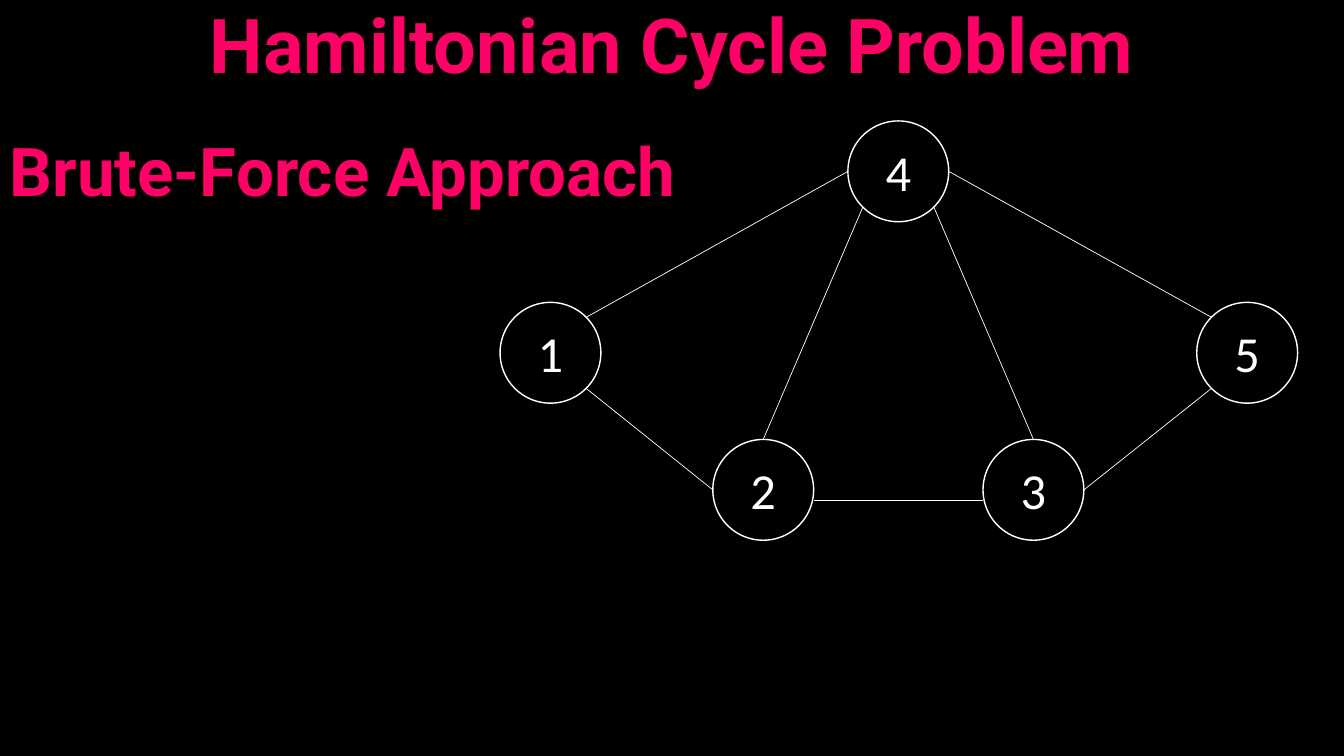
from pptx import Presentation
from pptx.dml.color import RGBColor
from pptx.enum.shapes import MSO_CONNECTOR as CONNECTOR, MSO_SHAPE as SHAPE
from pptx.enum.text import MSO_ANCHOR as ANCHOR, PP_ALIGN as ALIGN
from pptx.oxml.ns import qn
from pptx.util import Inches, Pt
from lxml import etree

BLACK = RGBColor(0x00, 0x00, 0x00)
WHITE = RGBColor(0xFF, 0xFF, 0xFF)
PINK = RGBColor(0xFF, 0x00, 0x66)

SLIDE_WIDTH = 13.33
HEADING_HEIGHT = 0.94
NODE_SIZE = 1

# Left and top of each graph node
NODES = {
    "1": (4.96, 3),
    "2": (7.07, 4.36),
    "4": (8.41, 1.2),
    "3": (9.75, 4.36),
    "5": (11.87, 3),
}

# Points on a node's outline, as fractions of its size
NEAR, FAR = 0.15, 0.85
SITES = {
    "top": (0.5, 0),
    "left": (0, 0.5),
    "right": (1, 0.5),
    "top left": (NEAR, NEAR),
    "top right": (FAR, NEAR),
    "bottom left": (NEAR, FAR),
    "bottom right": (FAR, FAR),
    "low left": (0, 0.6),
    "low right": (1, 0.6),
}

EDGES = [
    ("1", "top right", "4", "left"),
    ("4", "right", "5", "top left"),
    ("2", "left", "1", "bottom right"),
    ("3", "right", "5", "bottom left"),
    ("2", "low right", "3", "low left"),
    ("2", "top", "4", "bottom left"),
    ("3", "top", "4", "bottom right"),
]


def write_text(shape, text, font, size, color, align, anchor, bold=False):
    frame = shape.text_frame
    frame.word_wrap = True
    frame.vertical_anchor = anchor
    paragraph = frame.paragraphs[0]
    paragraph.alignment = align
    run = paragraph.add_run()
    run.text = text
    run.font.name = font
    run.font.size = Pt(size)
    run.font.bold = bold
    run.font.color.rgb = color
    return paragraph


def format_heading(shape, text, top, size, align):
    shape.left, shape.top = Inches(0), Inches(top)
    shape.width, shape.height = Inches(SLIDE_WIDTH), Inches(HEADING_HEIGHT)
    paragraph = write_text(shape, text, "Roboto", size, PINK, align,
                           ANCHOR.BOTTOM, bold=True)
    paragraph.line_spacing = 0.9


def add_node(slide, label):
    left, top = NODES[label]
    node = slide.shapes.add_shape(SHAPE.OVAL, Inches(left), Inches(top),
                                  Inches(NODE_SIZE), Inches(NODE_SIZE))
    node.shadow.inherit = False
    node.fill.background()
    node.line.color.rgb = WHITE
    node.line.width = Pt(1)
    write_text(node, label, "Calibri", 36, WHITE, ALIGN.CENTER, ANCHOR.MIDDLE)


def site_position(label, site):
    return [Inches(start + fraction * NODE_SIZE)
            for start, fraction in zip(NODES[label], SITES[site])]


def add_edge(slide, start, start_site, end, end_site):
    edge = slide.shapes.add_connector(CONNECTOR.STRAIGHT,
                                      *site_position(start, start_site),
                                      *site_position(end, end_site))
    edge.line.color.rgb = WHITE
    edge.line.width = Pt(0.5)
    etree.SubElement(edge._element.spPr, qn("a:effectLst"))


def main():
    presentation = Presentation()
    presentation.slide_width = Inches(SLIDE_WIDTH)
    presentation.slide_height = Inches(7.5)
    slide = presentation.slides.add_slide(presentation.slide_layouts[5])
    slide.background.fill.solid()
    slide.background.fill.fore_color.rgb = BLACK

    # Headings
    format_heading(slide.shapes.title, "Hamiltonian Cycle Problem", 0, 54,
                   ALIGN.CENTER)
    subtitle = slide.shapes.add_textbox(0, 0, 0, 0)
    format_heading(subtitle, "Brute-Force Approach", 1.2, 48, ALIGN.LEFT)

    # Graph
    for label in NODES:
        add_node(slide, label)
    for edge in EDGES:
        add_edge(slide, *edge)

    presentation.save("out.pptx")


main()
